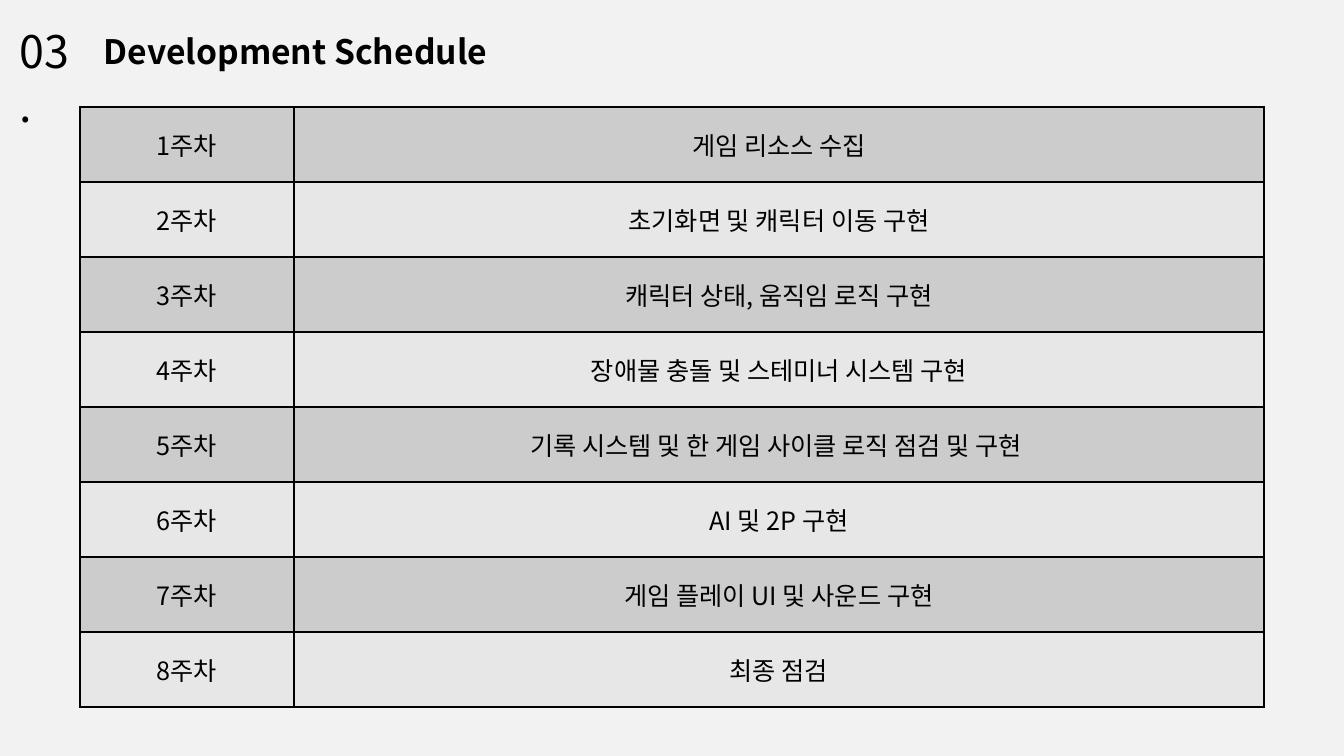
from lxml import etree
from pptx import Presentation
from pptx import util as u
from pptx.dml.color import RGBColor
from pptx.enum import text
from pptx.oxml.ns import qn

PX = 914400 / 100.8
COLOURS = {"background": "F2F2F2", "ink": "000000", "odd": "CCCCCC", "even": "E7E7E7"}
FONT = "Noto Sans CJK KR"

WEEKLY_GOALS = [
    "게임 리소스 수집",
    "초기화면 및 캐릭터 이동 구현",
    "캐릭터 상태, 움직임 로직 구현",
    "장애물 충돌 및 스테미너 시스템 구현",
    "기록 시스템 및 한 게임 사이클 로직 점검 및 구현 ",
    "AI 및 2P 구현",
    "게임 플레이 UI 및 사운드 구현",
    "최종 점검",
]


def px(length):
    return u.Emu(round(length * PX))


def rgb(name):
    return RGBColor.from_string(COLOURS[name])


class SlideBuilder:
    def __init__(self, deck):
        self.slide = deck.slides.add_slide(deck.slide_layouts[6])
        background = self.slide.background.fill
        background.solid()
        background.fore_color.rgb = rgb("background")

    def run(self, paragraph, words, **formats):
        run = paragraph.add_run()
        run.text = words
        run.font.color.rgb = rgb("ink")
        for name, value in {"name": FONT, **formats}.items():
            setattr(run.font, name, value)
        # East Asian glyphs take the same typeface
        etree.SubElement(run.font._element, qn("a:ea"), typeface=FONT)

    def label(self, left, top, width, height, pieces):
        frame = self.slide.shapes.add_textbox(*map(px, (left, top, width, height))).text_frame
        frame.word_wrap = True
        frame.auto_size = text.MSO_AUTO_SIZE.SHAPE_TO_FIT_TEXT
        for words, formats in pieces:
            self.run(frame.paragraphs[0], words, **formats)

    def border(self, cell):
        properties = cell._tc.get_or_add_tcPr()
        for side in ("lnL", "lnR", "lnT", "lnB"):
            line = etree.SubElement(properties, qn(f"a:{side}"), w=str(u.Pt(1.5)))
            fill = etree.SubElement(line, qn("a:solidFill"))
            etree.SubElement(fill, qn("a:srgbClr"), val=COLOURS["ink"])

    def table(self, left, top, widths, row_height, rows):
        size = (sum(widths), row_height * len(rows))
        table = self.slide.shapes.add_table(
            len(rows), len(widths), *map(px, (left, top, *size))).table
        for name in ("first_row", "horz_banding"):
            setattr(table, name, False)
        for column, width in zip(table.columns, widths):
            column.width = px(width)
        for index, row in enumerate(rows):
            table.rows[index].height = px(row_height)
            for cell, words in zip(table.rows[index].cells, row):
                self.border(cell)
                cell.fill.solid()
                cell.fill.fore_color.rgb = rgb("even" if index % 2 else "odd")
                cell.vertical_anchor = text.MSO_ANCHOR.MIDDLE
                paragraph = cell.text_frame.paragraphs[0]
                paragraph.alignment = text.PP_ALIGN.CENTER
                self.run(paragraph, words, size=u.Pt(18))


def main():
    deck = Presentation()
    deck.slide_width, deck.slide_height = px(1344), px(756)
    schedule = SlideBuilder(deck)

    # Heading and section number
    schedule.label(88, 26, 446, 50, [
        (" ", {"size": u.Pt(19)}),
        ("Development Schedule", {"size": u.Pt(24), "bold": True}),
    ])
    schedule.label(10, 19, 80, 65, [("03.", {"size": u.Pt(32)})])

    # Weekly plan
    weeks = [(f"{week}주차", goal) for week, goal in enumerate(WEEKLY_GOALS, 1)]
    schedule.table(80, 107, (214, 970), 75, weeks)

    deck.save("out.pptx")


if __name__ == "__main__":
    main()
